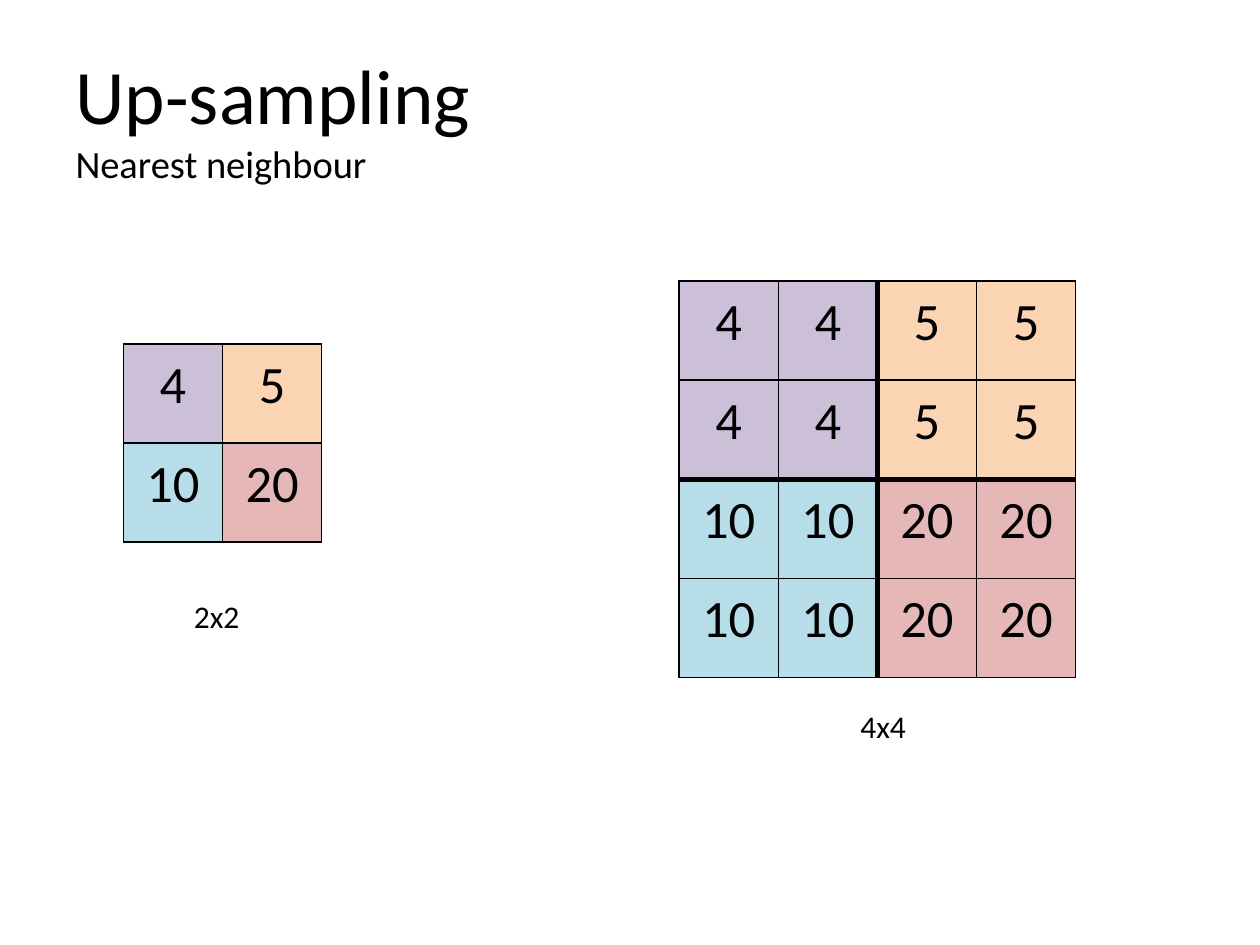
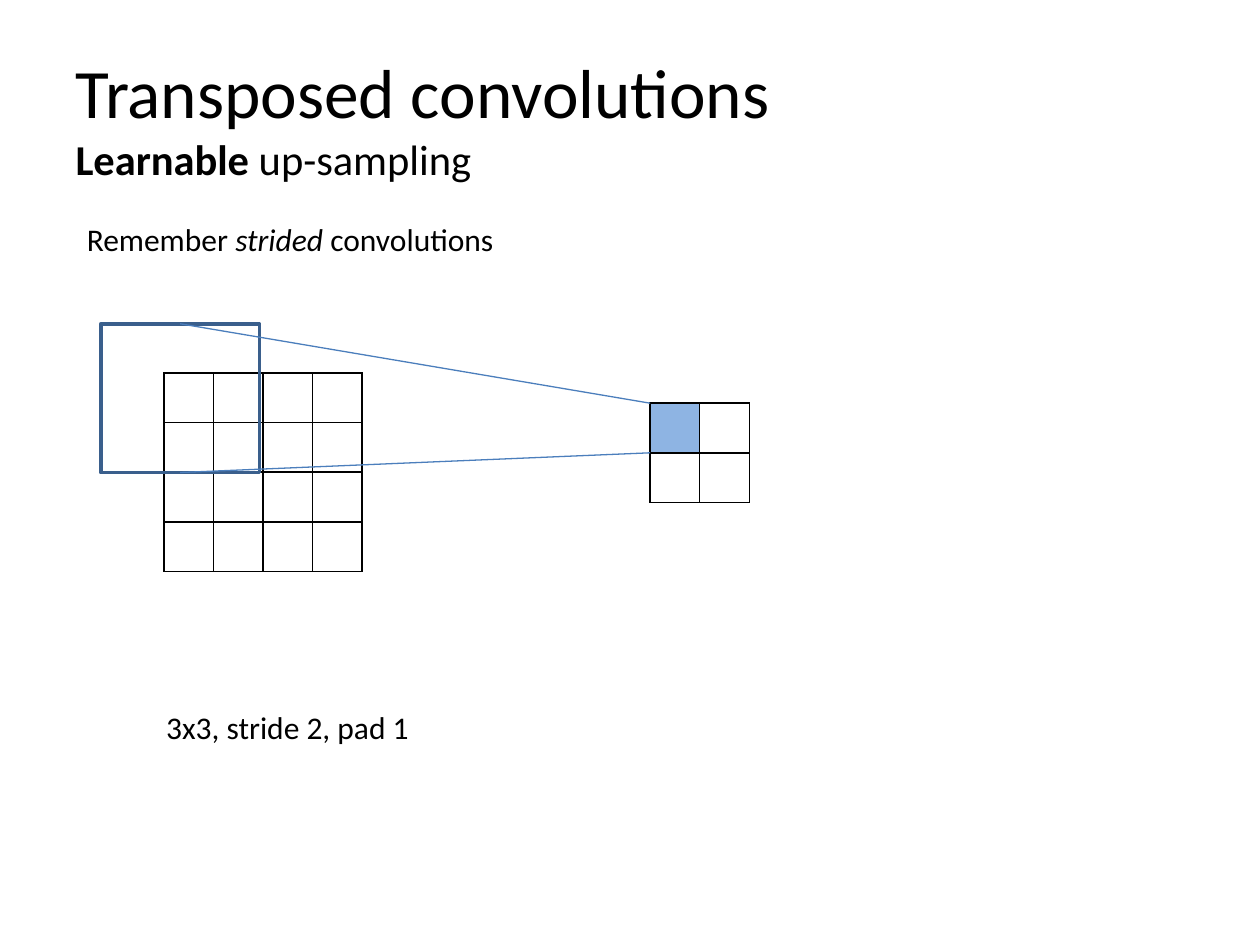
from dataclasses import dataclass
from typing import Optional

from lxml import etree
from pptx import Presentation
from pptx.dml.color import RGBColor
from pptx.enum.shapes import MSO_CONNECTOR, MSO_SHAPE
from pptx.enum.text import MSO_ANCHOR, MSO_AUTO_SIZE, PP_ALIGN
from pptx.oxml.ns import qn
from pptx.util import Emu, Inches, Pt

STRAIGHT = MSO_CONNECTOR.STRAIGHT
RECTANGLE = MSO_SHAPE.RECTANGLE
MIDDLE = MSO_ANCHOR.MIDDLE
NO_AUTOFIT, FIT_SHAPE = MSO_AUTO_SIZE.NONE, MSO_AUTO_SIZE.SHAPE_TO_FIT_TEXT
LEFT, CENTER = PP_ALIGN.LEFT, PP_ALIGN.CENTER
TOP_SIDE, BOTTOM_SIDE = 0, 2
TITLE_ONLY = 5

# Page grid: 100 columns by 75 rows
SLIDE_WIDTH, SLIDE_HEIGHT = Inches(10), Inches(7.5)
COLUMN, ROW = SLIDE_WIDTH / 100, SLIDE_HEIGHT / 75


@dataclass(frozen=True)
class Theme:
    font: str = "Calibri"
    ink: str = "000000"
    frame: str = "3A5F8C"
    ray: str = "4B7EBC"
    highlight: str = "8EB4E3"
    label_size: float = 18
    number_size: float = 30
    thin: float = 1
    thick: float = 3
    frame_width: float = 2
    ray_width: float = 0.75


THEME = Theme()
VALUE_COLORS = {"4": "CCC0D9", "5": "FBD4B4", "10": "B6DDE8", "20": "E5B8B7"}


@dataclass(frozen=True)
class Run:
    text: str
    size: float = THEME.label_size
    bold: bool = False
    italic: bool = False


@dataclass(frozen=True)
class Box:
    """A rectangle in grid columns and rows."""
    left: float
    top: float
    width: float
    height: float

    def lengths(self) -> tuple:
        return (across(self.left), down(self.top),
                across(self.width), down(self.height))


@dataclass(frozen=True)
class Label:
    box: Box
    runs: tuple


@dataclass(frozen=True)
class Matrix:
    left: float
    top: float
    cell_size: float
    values: list
    colors: list
    split: Optional[int] = None  # row and column index of the thick lines


TITLE_BOX = Box(5, 3, 90, 12.5)


def across(columns: float) -> Emu:
    return Emu(round(columns * COLUMN))


def down(rows: float) -> Emu:
    return Emu(round(rows * ROW))


def add_run(paragraph, run: Run) -> None:
    text_run = paragraph.add_run()
    text_run.text = run.text
    formats = {"name": THEME.font, "size": Pt(run.size),
               "bold": run.bold, "italic": run.italic}
    for name, value in formats.items():
        setattr(text_run.font, name, value)
    text_run.font.color.rgb = RGBColor.from_string(THEME.ink)


def add_titled_slide(presentation, heading: Run, subtitle: tuple):
    slide = presentation.slides.add_slide(presentation.slide_layouts[TITLE_ONLY])
    title = slide.shapes.title
    title.left, title.top, title.width, title.height = TITLE_BOX.lengths()
    formats = {"auto_size": NO_AUTOFIT, "vertical_anchor": MIDDLE, "word_wrap": True}
    for name, value in formats.items():
        setattr(title.text_frame, name, value)
    paragraph = title.text_frame.paragraphs[0]
    paragraph.alignment = LEFT
    add_run(paragraph, heading)
    # The line break carries the heading size, so the first line keeps its height
    paragraph.add_line_break()
    etree.SubElement(paragraph._p[-1], qn("a:rPr"), sz=str(round(heading.size * 100)))
    for run in subtitle:
        add_run(paragraph, run)
    return slide


def add_label(slide, label: Label) -> None:
    text_frame = slide.shapes.add_textbox(*label.box.lengths()).text_frame
    text_frame.word_wrap = False
    text_frame.auto_size = FIT_SHAPE
    for run in label.runs:
        add_run(text_frame.paragraphs[0], run)


def set_borders(cell, row: int, column: int, split: Optional[int]) -> None:
    properties = cell._tc.get_or_add_tcPr()
    edges = {"a:lnL": column, "a:lnR": column + 1, "a:lnT": row, "a:lnB": row + 1}
    for tag, edge in edges.items():
        width = THEME.thick if edge == split else THEME.thin
        line = etree.SubElement(properties, qn(tag), w=str(Pt(width)))
        fill = etree.SubElement(line, qn("a:solidFill"))
        etree.SubElement(fill, qn("a:srgbClr"), val=THEME.ink)


def fill_cell(cell, value: str, color: Optional[str]) -> None:
    side = Inches(0.07) if value else 0
    margins = {"margin_left": side, "margin_right": side,
               "margin_top": 0, "margin_bottom": 0}
    for name, length in margins.items():
        setattr(cell, name, length)
    if color:
        cell.fill.solid()
        cell.fill.fore_color.rgb = RGBColor.from_string(color)
    else:
        cell.fill.background()
    if value:
        paragraph = cell.text_frame.paragraphs[0]
        paragraph.alignment = CENTER
        paragraph.line_spacing = 1.15
        add_run(paragraph, Run(value, THEME.number_size))


def add_matrix(slide, matrix: Matrix) -> None:
    count = len(matrix.values)
    side = count * matrix.cell_size
    box = Box(matrix.left, matrix.top, side, side)
    table = slide.shapes.add_table(count, count, *box.lengths()).table
    table.first_row = table.horz_banding = False
    for index in range(count):
        table.columns[index].width = across(matrix.cell_size)
        table.rows[index].height = down(matrix.cell_size)
    for row, values in enumerate(matrix.values):
        for column, value in enumerate(values):
            cell = table.cell(row, column)
            set_borders(cell, row, column, matrix.split)
            fill_cell(cell, value, matrix.colors[row][column])


def add_frame(slide, box: Box):
    frame = slide.shapes.add_shape(RECTANGLE, *box.lengths())
    frame.shadow.inherit = False
    frame.fill.background()
    frame.line.color.rgb = RGBColor.from_string(THEME.frame)
    frame.line.width = Pt(THEME.frame_width)
    return frame


def add_ray(slide, frame, side: int, end_column: float, end_row: float) -> None:
    end = across(end_column), down(end_row)
    ray = slide.shapes.add_connector(STRAIGHT, frame.left, frame.top, *end)
    ray.begin_connect(frame, side)
    ray.line.color.rgb = RGBColor.from_string(THEME.ray)
    ray.line.width = Pt(THEME.ray_width)
    etree.SubElement(ray._element.spPr, qn("a:effectLst"))


def upsample(values: list, scale: int) -> list:
    """Repeat every value scale times in both directions."""
    return [[value for value in row for _ in range(scale)]
            for row in values for _ in range(scale)]


def number_matrix(left: float, top: float, values: list,
                  split: Optional[int] = None) -> Matrix:
    colors = [[VALUE_COLORS[value] for value in row] for row in values]
    return Matrix(left, top, 7.87, values, colors, split)


def empty_matrix(left: float, top: float, count: int,
                 first_color: Optional[str] = None) -> Matrix:
    colors = [[None] * count for _ in range(count)]
    colors[0][0] = first_color
    return Matrix(left, top, 3.94, [[""] * count for _ in range(count)], colors)


def build_nearest_neighbour(presentation) -> None:
    slide = add_titled_slide(presentation, Run("Up-sampling", 44),
                             (Run("Nearest neighbour", 22),))
    values = [["4", "5"], ["10", "20"]]
    add_matrix(slide, number_matrix(9.8, 27.3, values))
    add_matrix(slide, number_matrix(53.9, 22.3, upsample(values, 2), split=2))
    add_label(slide, Label(Box(14.4, 46.9, 5.7, 4), (Run("2x2"),)))
    add_label(slide, Label(Box(67.3, 55.6, 5.7, 4), (Run("4x4"),)))


def build_transposed_convolutions(presentation) -> None:
    slide = add_titled_slide(
        presentation, Run("Transposed convolutions", 39.6),
        (Run("Learnable", 24.3, bold=True), Run(" up-sampling", 24.3)))
    add_label(slide, Label(Box(5.9, 17, 34.8, 4), (
        Run("Remember "), Run("strided", italic=True), Run(" convolutions"))))
    add_matrix(slide, empty_matrix(13, 29.6, 4))
    add_label(slide, Label(Box(12.2, 55.7, 21.5, 4), (Run("3x3, stride 2, pad 1"),)))

    # The kernel frame projects onto the first output cell
    output = empty_matrix(51.6, 32, 2, THEME.highlight)
    add_matrix(slide, output)
    kernel = add_frame(slide, Box(8, 25.7, 12.6, 11.8))
    add_ray(slide, kernel, TOP_SIDE, output.left, output.top)
    add_ray(slide, kernel, BOTTOM_SIDE, output.left, output.top + output.cell_size)


def main() -> None:
    presentation = Presentation()
    presentation.slide_width, presentation.slide_height = SLIDE_WIDTH, SLIDE_HEIGHT
    build_nearest_neighbour(presentation)
    build_transposed_convolutions(presentation)
    presentation.save("out.pptx")


if __name__ == "__main__":
    main()
